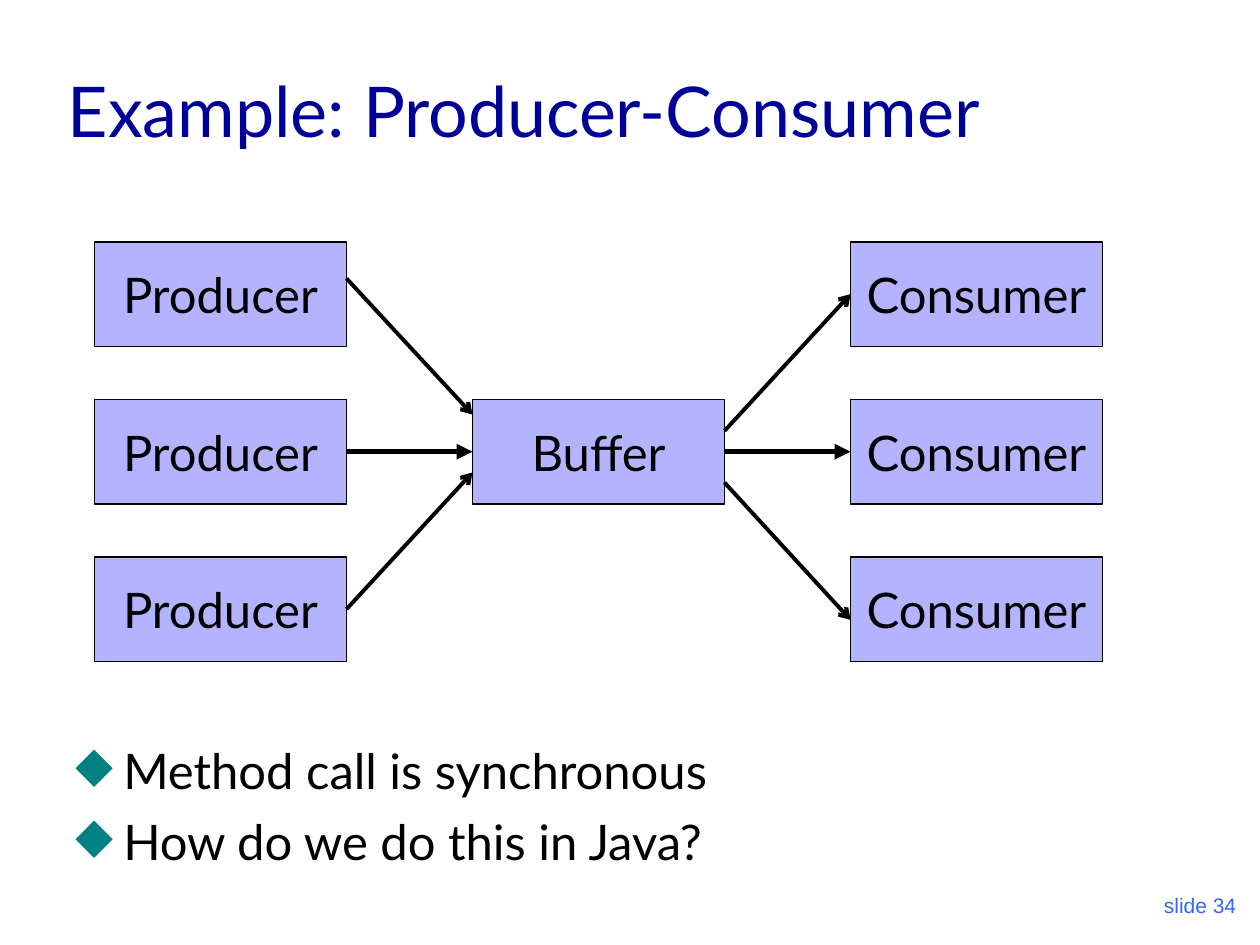
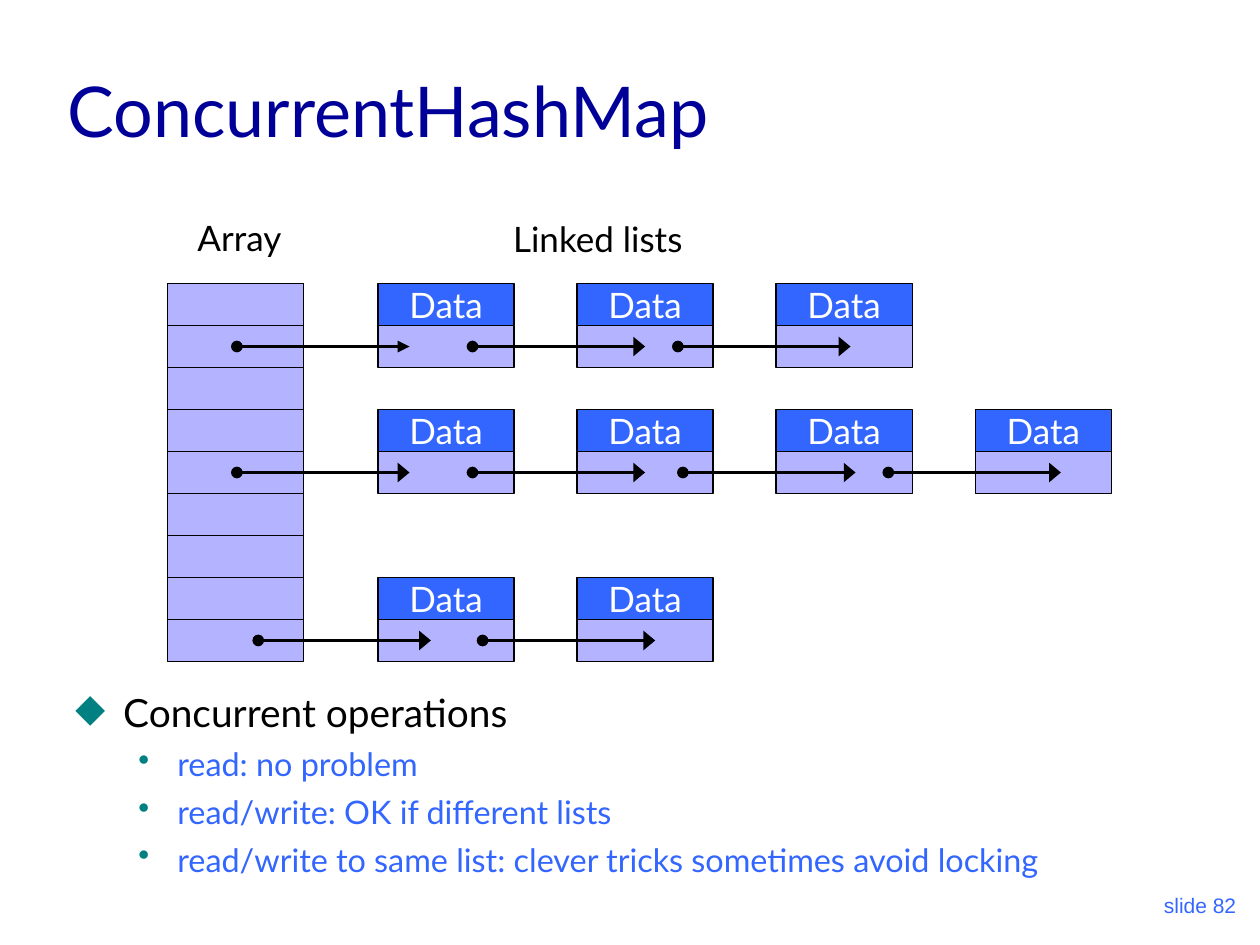
from lxml import etree
from pptx import Presentation
from pptx.dml.color import RGBColor
from pptx.enum.shapes import MSO_CONNECTOR, MSO_SHAPE
from pptx.enum.text import MSO_ANCHOR, PP_ALIGN
from pptx.oxml.ns import qn
from pptx.util import Inches, Pt

NAVY, BLUE, LILAC, TEAL = "000099", "3366FF", "B3B3FF", "008080"
BLACK, WHITE = "000000", "FFFFFF"


def color(hex_code):
    return RGBColor.from_string(hex_code)


def apply(target, values):
    for name, value in values.items():
        setattr(target, name, value)


class Deck:
    """Holds the shared style and the slide being built."""

    font = "Lato"
    # bullet level: character, left margin, hanging indent, text colour
    levels = [("◆", 0.38, 0.38, BLACK), ("•", 0.81, 0.31, BLUE)]

    def __init__(self):
        self.prs = Presentation()
        apply(self.prs, {"slide_width": Inches(10), "slide_height": Inches(7.5)})
        self.slide = None

    def new_slide(self, title, number):
        self.slide = self.prs.slides.add_slide(self.prs.slide_layouts[6])
        self.text(f"slide {number}", 7.83, 6.83, 2.08, 0.5, 12, BLUE, font="Arial",
                  align=PP_ALIGN.RIGHT, anchor=MSO_ANCHOR.BOTTOM)
        self.text(title, 0.44, 0.25, 8.5, 1, 40, NAVY, anchor=MSO_ANCHOR.BOTTOM)

    def fill_paragraph(self, paragraph, content, size, hex_code, font=None,
                       align=PP_ALIGN.LEFT):
        paragraph.alignment = align
        run = paragraph.add_run()
        run.text = content
        apply(run.font, {"size": Pt(size), "name": font or self.font})
        run.font.color.rgb = color(hex_code)

    def text(self, content, x, y, w, h, size, hex_code, font=None,
             align=PP_ALIGN.LEFT, anchor=MSO_ANCHOR.TOP, wrap=True):
        box = self.slide.shapes.add_textbox(Inches(x), Inches(y), Inches(w), Inches(h))
        apply(box.text_frame, {"word_wrap": wrap, "vertical_anchor": anchor})
        self.fill_paragraph(box.text_frame.paragraphs[0], content, size, hex_code,
                            font, align)

    def bullets(self, items, x, y, w, h, sizes, gaps):
        """Items are (level, content); sizes and gaps are given per level."""
        frame = self.slide.shapes.add_textbox(
            Inches(x), Inches(y), Inches(w), Inches(h)).text_frame
        frame.word_wrap = True
        for i, (level, content) in enumerate(items):
            mark, margin, hang, hex_code = self.levels[level]
            paragraph = frame.add_paragraph() if i else frame.paragraphs[0]
            props = paragraph._p.get_or_add_pPr()
            props.set("marL", str(Inches(margin)))
            props.set("indent", str(-Inches(hang)))
            tint = etree.SubElement(props, qn("a:buClr"))
            etree.SubElement(tint, qn("a:srgbClr"), val=TEAL)
            etree.SubElement(props, qn("a:buChar"), char=mark)
            if i:
                paragraph.space_before = Pt(gaps[level])
            self.fill_paragraph(paragraph, content, sizes[level], hex_code)

    def box(self, x, y, w, h, fill=LILAC, label=None, size=28, hex_code=BLACK):
        rect = self.slide.shapes.add_shape(
            MSO_SHAPE.RECTANGLE, Inches(x), Inches(y), Inches(w), Inches(h))
        rect.shadow.inherit = False
        rect.fill.solid()
        rect.fill.fore_color.rgb = color(fill)
        rect.line.color.rgb = color(BLACK)
        rect.line.width = Pt(0.75)
        if label:
            apply(rect.text_frame, {"word_wrap": False,
                                    "vertical_anchor": MSO_ANCHOR.MIDDLE})
            self.fill_paragraph(rect.text_frame.paragraphs[0], label, size, hex_code,
                                align=PP_ALIGN.CENTER)
        return rect

    def arrow(self, x1, y1, x2, y2, width=2.25, tail="arrow", head=None,
              spread="med", begin=None, end=None):
        """begin and end are rectangles joined at their right and left side."""
        line = self.slide.shapes.add_connector(
            MSO_CONNECTOR.STRAIGHT, Inches(x1), Inches(y1), Inches(x2), Inches(y2))
        if begin:
            line.begin_connect(begin, 3)
        if end:
            line.end_connect(end, 1)
        line.line.color.rgb = color(BLACK)
        line.line.width = Pt(width)
        outline = line.line._get_or_add_ln()
        if head:
            etree.SubElement(outline, qn("a:headEnd"), type=head, w="med", len="med")
        etree.SubElement(outline, qn("a:tailEnd"), type=tail, w=spread, len="med")
        etree.SubElement(line._element.spPr, qn("a:effectLst"))


def producer_consumer(deck):
    deck.new_slide("Example: Producer-Consumer", 34)
    deck.bullets([(0, "Method call is synchronous"), (0, "How do we do this in Java?")],
                 0.5, 5.83, 8.25, 1.33, sizes=[28], gaps=[7])

    # Three producers and three consumers around one buffer
    w, h = 2, 0.83
    tops = [1.92 + 1.25 * row for row in range(3)]
    producers = [deck.box(0.75, top, w, h, label="Producer") for top in tops]
    consumers = [deck.box(6.75, top, w, h, label="Consumer") for top in tops]
    buffer = deck.box(3.75, tops[1], w, h, label="Buffer")

    # Diagonal arrows
    deck.arrow(2.75, 2.21, 3.75, 3.29)
    deck.arrow(2.75, 4.83, 3.75, 3.75, begin=producers[2])
    deck.arrow(5.75, 3.42, 6.75, 2.33, end=consumers[0])
    deck.arrow(5.75, 3.83, 6.75, 4.92)

    # Level arrows through the buffer
    middle = tops[1] + h / 2
    for x, source, target in [(2.75, producers[1], buffer), (5.75, buffer, consumers[1])]:
        deck.arrow(x, middle, x + 1, middle, width=3, tail="triangle",
                   begin=source, end=target)


def concurrent_hash_map(deck):
    deck.new_slide("ConcurrentHashMap", 82)
    deck.bullets([(0, "Concurrent operations"),
                  (1, "read: no problem"),
                  (1, "read/write: OK if different lists"),
                  (1, "read/write to same list: clever tricks sometimes avoid locking")],
                 0.5, 5.42, 8.94, 1.83, sizes=[22.2, 18.5], gaps=[6, 5])
    for heading, x, y, w in [("Array", 1.45, 1.67, 0.9), ("Linked lists", 3.92, 1.68, 1.65)]:
        deck.text(heading, x, y, w, 0.44, 20, BLACK, align=PP_ALIGN.CENTER, wrap=False)

    # Array slots
    w, h, top = 1.08, 1 / 3, 2.25
    for slot in range(9):
        deck.box(1.33, top + slot * h, w, h)

    # Linked lists: first slot beside the nodes, and where each pointer starts
    pointer_length = 1.37
    lists = [(0, [1.88, 3.75, 5.38]), (3, [1.88, 3.75, 5.42, 7.05]), (7, [2.05, 3.83])]
    for slot, starts in lists:
        y = top + slot * h
        for node in range(len(starts)):
            x = 3 + node * (w + 0.5)
            deck.box(x, y + h, w, h)
            deck.box(x, y, w, h, BLUE, "Data", 20, WHITE)

    # Pointers; the very first has a slimmer head
    for slot, starts in lists:
        y = top + (slot + 1.5) * h
        for node, x in enumerate(starts):
            deck.arrow(x, y, x + pointer_length, y, tail="triangle", head="oval",
                       spread="lg" if slot or node else "med")


def main():
    deck = Deck()
    producer_consumer(deck)
    concurrent_hash_map(deck)
    deck.prs.save("out.pptx")


if __name__ == "__main__":
    main()
